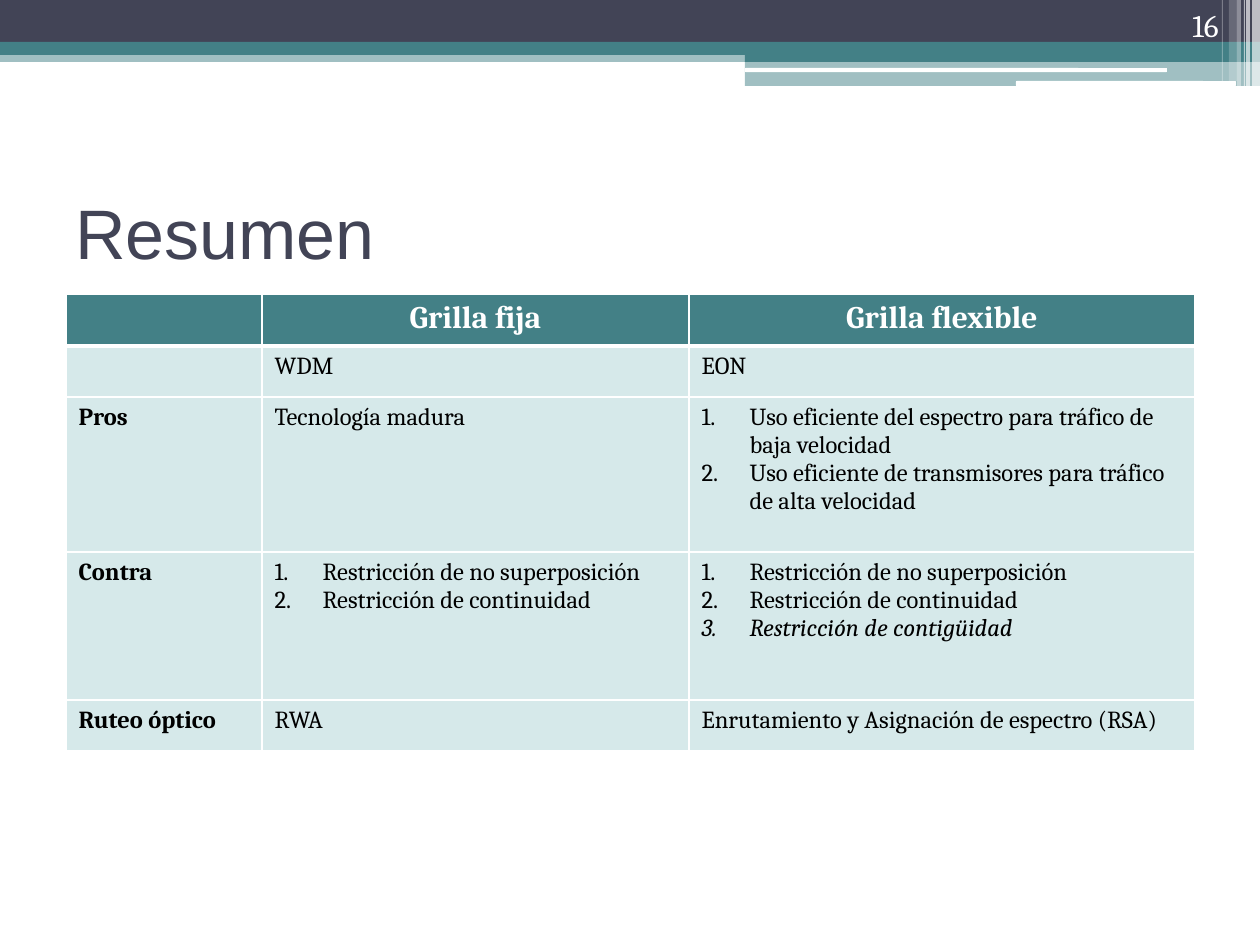
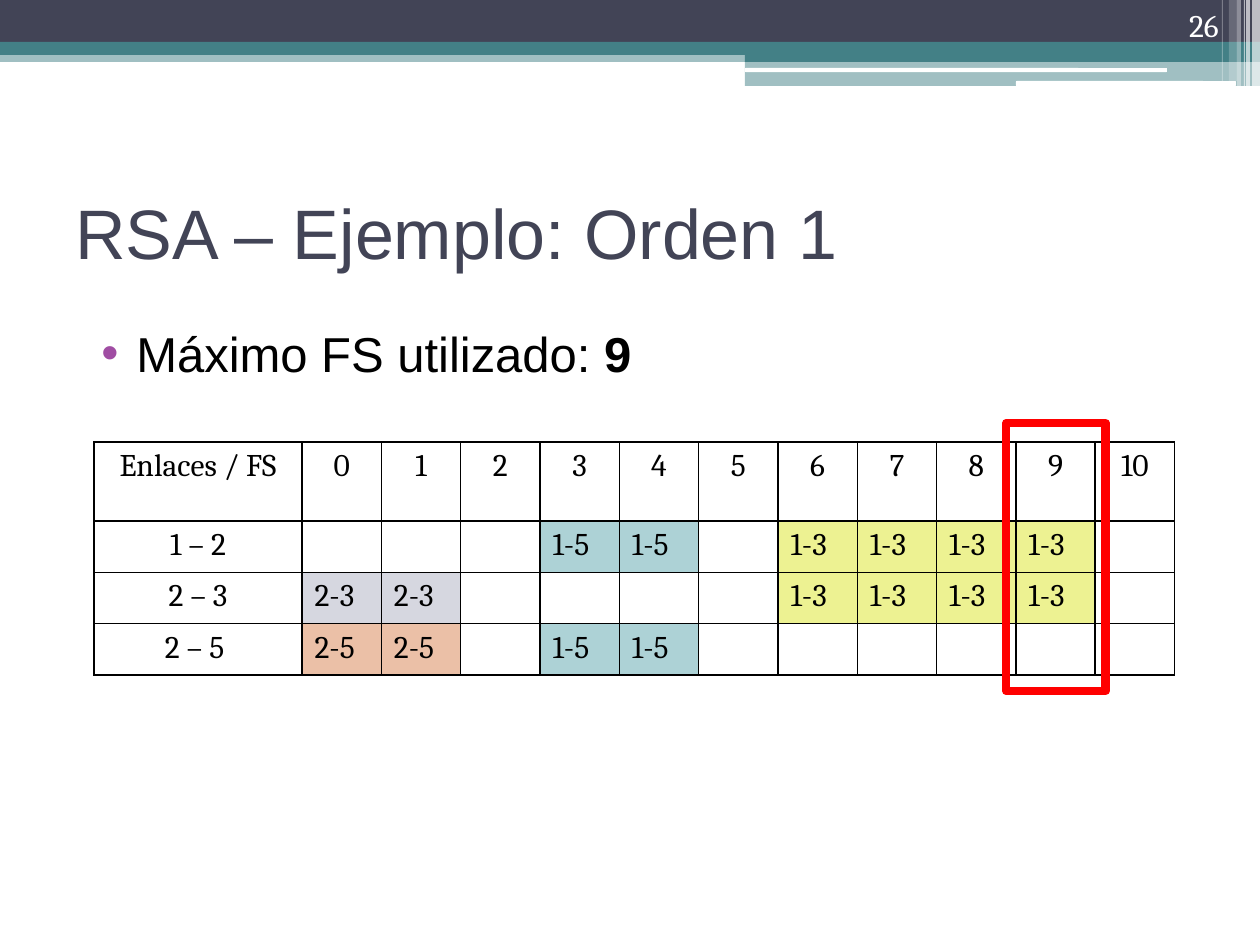
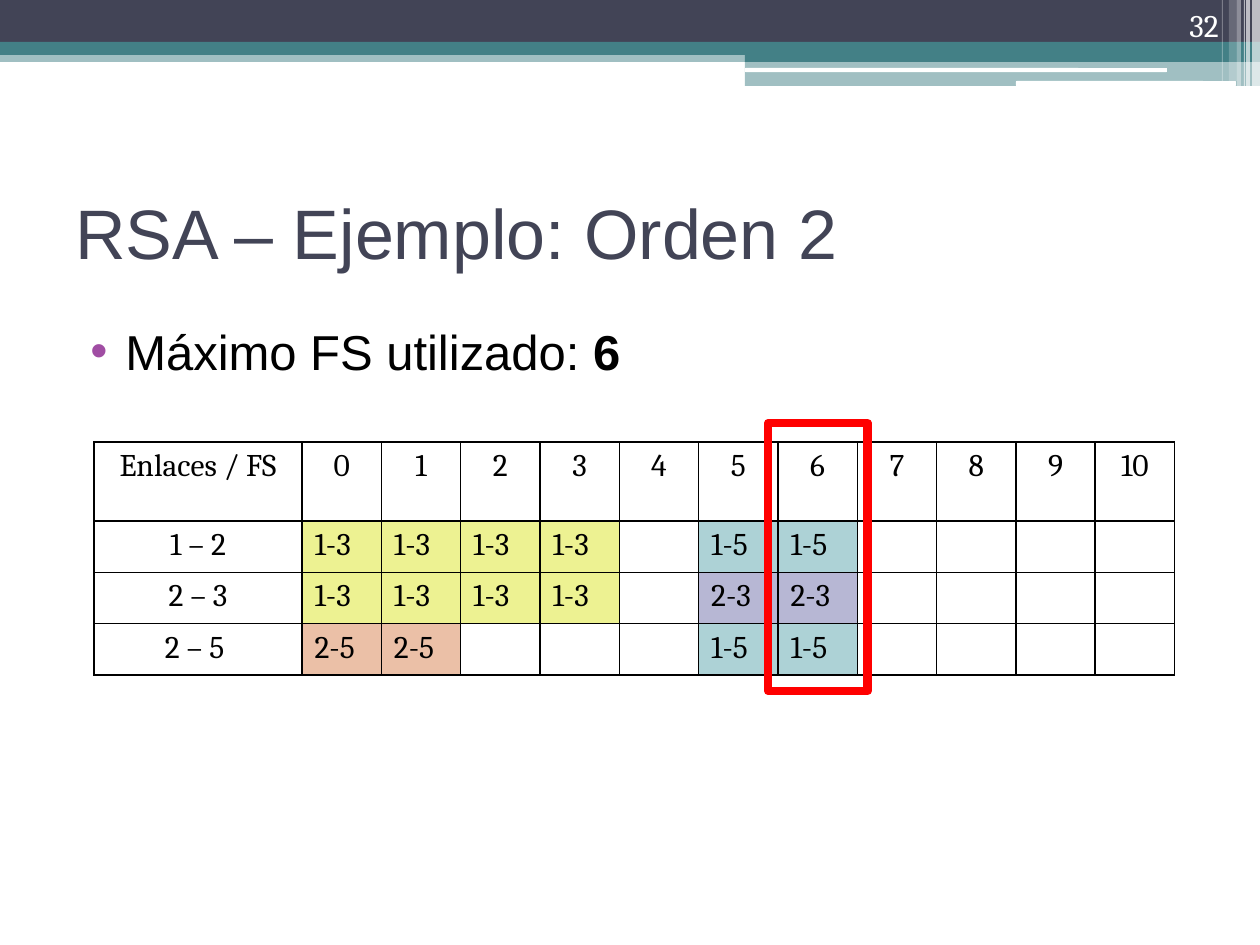
from lxml.etree import SubElement
from pptx import Presentation
from pptx.dml.color import RGBColor
from pptx.enum.shapes import MSO_SHAPE
from pptx.enum.text import MSO_ANCHOR, PP_ALIGN
from pptx.oxml.ns import qn
from pptx.util import Emu, Pt

COLORS = {
    "navy": "424456", "teal": "438086", "white": "FFFFFF", "black": "000000",
    "mist": "D6E9EA", "aqua": "ADD2D6", "lime": "EDF292", "peach": "EBC0A7",
    "pale": "D6D7E0", "lilac": "B7B7D4", "purple": "A04DA3", "red": "FF0000",
}
HEADING, BODY = "Arial", "Cambria"
PX = 914400 / 126

# left, top, width, height, colour, opacity in percent
BANDS = [
    (0, 50, 1260, 12, "teal", 50),
    (0, 0, 1260, 43, "navy", 100),
    (0, 42, 1260, 13, "teal", 100),
    (745, 49, 515, 13, "teal", 100),
    (745, 61, 515, 25, "teal", 50),
]
PILLS = [(745, 68, 422, 4, "white", 100), (1016, 81, 220, 5, "white", 100)]
STRIPES = [
    (1252, 0, 8, 86, "white", 65), (1246, 0, 4, 86, "white", 65),
    (1244, 0, 1, 86, "white", 60), (1237, 0, 4, 86, "white", 40),
    (1229, 0, 8, 81, "white", 20), (1222, 0, 1, 81, "white", 30),
]

SUMMARY_COLUMNS = [196, 427, 506]
SUMMARY_ROWS = [52, 51, 155, 148, 51]
SUMMARY = [
    ["", "Grilla fija", "Grilla flexible"],
    ["", "WDM", "EON"],
    ["Pros", "Tecnología madura",
     ["Uso eficiente del espectro para tráfico de baja velocidad",
      "Uso eficiente de transmisores para tráfico de alta velocidad"]],
    ["Contra",
     ["Restricción de no superposición", "Restricción de continuidad"],
     ["Restricción de no superposición", "Restricción de continuidad",
      [("Restricción de contigüidad", {"italic": True})]]],
    ["Ruteo óptico", "RWA", "Enrutamiento y Asignación de espectro (RSA)"],
]

SLOTS = 11
LINKS = ["1 – 2", "2 – 3", "2 – 5 "]
GRID = {"left": 94, "top": 442, "width": 1081, "height": 233, "label": 208, "header": 79}
SLOT_WIDTH = (GRID["width"] - GRID["label"]) / SLOTS
LINK_HEIGHT = (GRID["height"] - GRID["header"]) / len(LINKS)

# demands of each link: name, first slot, last slot, colour
EXAMPLES = [
    {"page": 26, "title": "RSA – Ejemplo: Orden 1", "highest": 9, "bullet_at": (74, 317),
     "demands": [
         [("1-5", 3, 4, "aqua"), ("1-3", 6, 9, "lime")],
         [("2-3", 0, 1, "pale"), ("1-3", 6, 9, "lime")],
         [("2-5", 0, 1, "peach"), ("1-5", 3, 4, "aqua")]]},
    {"page": 32, "title": "RSA – Ejemplo: Orden 2", "highest": 6, "bullet_at": (63, 315),
     "demands": [
         [("1-3", 0, 3, "lime"), ("1-5", 5, 6, "aqua")],
         [("1-3", 0, 3, "lime"), ("2-3", 5, 6, "lilac")],
         [("2-5", 0, 1, "peach"), ("1-5", 5, 6, "aqua")]]},
]


def px(*lengths):
    return [Emu(round(length * PX)) for length in lengths]


def rgb(name):
    return RGBColor.from_string(COLORS[name])


def add_bullet(para, kind, indent):
    """Give a paragraph a hanging number or a coloured dot."""
    properties = para._p.get_or_add_pPr()
    margin, hang = px(*indent)
    properties.set("marL", str(margin))
    properties.set("indent", str(-hang))
    if kind == "number":
        SubElement(properties, qn("a:buAutoNum"), type="arabicPeriod")
    else:
        color = SubElement(properties, qn("a:buClr"))
        SubElement(color, qn("a:srgbClr"), val=COLORS["purple"])
        SubElement(properties, qn("a:buFont"), typeface=HEADING)
        SubElement(properties, qn("a:buChar"), char="•")


def write(frame, paragraphs, size=18, font=BODY, color="black", bold=False,
          align=PP_ALIGN.LEFT, bullet=None, indent=(48, 48)):
    """Fill a frame; a paragraph is a string or a list of (text, format) spans."""
    for index, content in enumerate(paragraphs):
        para = frame.add_paragraph() if index else frame.paragraphs[0]
        para.alignment = align
        if bullet:
            add_bullet(para, bullet, indent)
        spans = [(content, {})] if isinstance(content, str) else content
        for text, changes in spans:
            span = para.add_run()
            span.text = text
            span.font.name = font
            span.font.size = Pt(size)
            span.font.color.rgb = rgb(color)
            span.font.bold = changes.get("bold", bold)
            span.font.italic = changes.get("italic", False)


def add_text(page, place, paragraphs, anchor=MSO_ANCHOR.TOP, **style):
    frame = page.shapes.add_textbox(*px(*place)).text_frame
    frame.word_wrap = True
    frame.vertical_anchor = anchor
    write(frame, paragraphs, **style)


def add_band(page, kind, left, top, width, height, color, opacity):
    band = page.shapes.add_shape(kind, *px(left, top, width, height))
    band.shadow.inherit = False
    band.line.fill.background()
    band.fill.solid()
    band.fill.fore_color.rgb = rgb(color)
    if opacity < 100:
        value = band._element.spPr.find(".//" + qn("a:srgbClr"))
        SubElement(value, qn("a:alpha"), val=str(opacity * 1000))


def add_page(deck, title, number):
    page = deck.slides.add_slide(deck.slide_layouts[6])
    for kind, bands in ((MSO_SHAPE.RECTANGLE, BANDS),
                        (MSO_SHAPE.ROUNDED_RECTANGLE, PILLS),
                        (MSO_SHAPE.RECTANGLE, STRIPES)):
        for band in bands:
            add_band(page, kind, *band)
    add_text(page, (63, 158, 1134, 147), [title], anchor=MSO_ANCHOR.MIDDLE,
             size=40, font=HEADING, color="navy")
    add_text(page, (1126, 0, 105, 50), [str(number)], anchor=MSO_ANCHOR.BOTTOM,
             color="white", align=PP_ALIGN.RIGHT)
    return page


def add_grid(page, left, top, columns, rows):
    """Add a plain table with the given column widths and row heights."""
    table = page.shapes.add_table(len(rows), len(columns),
                                  *px(left, top, sum(columns), sum(rows))).table
    table.first_row = table.horz_banding = False
    for column, width in zip(table.columns, px(*columns)):
        column.width = width
    for row, height in zip(table.rows, px(*rows)):
        row.height = height
    return table


def format_cell(cell, border, fill=None, top=1, bottom=1):
    properties = cell._tc.get_or_add_tcPr()
    for side, width in (("L", 1), ("R", 1), ("T", top), ("B", bottom)):
        line = SubElement(properties, qn("a:ln" + side), w=str(Pt(width)))
        SubElement(SubElement(line, qn("a:solidFill")), qn("a:srgbClr"), val=COLORS[border])
    if fill:
        cell.fill.solid()
        cell.fill.fore_color.rgb = rgb(fill)
    else:
        cell.fill.background()


def add_summary(deck):
    page = add_page(deck, "Resumen", 16)
    table = add_grid(page, 66, 294, SUMMARY_COLUMNS, SUMMARY_ROWS)
    header = {"color": "white", "bold": True, "align": PP_ALIGN.CENTER}
    for row, contents in enumerate(SUMMARY):
        for column, content in enumerate(contents):
            cell = table.cell(row, column)
            format_cell(cell, "white", "mist" if row else "teal",
                        top=3 if row == 1 else 1, bottom=1 if row else 3)
            style = {"size": 14, "bold": column == 0} if row else header
            if isinstance(content, list):
                write(cell.text_frame, content, bullet="number", **style)
            elif content:
                write(cell.text_frame, [content], **style)


def add_example(deck, example):
    page = add_page(deck, example["title"], example["page"])
    highest = example["highest"]
    add_text(page, (*example["bullet_at"], 1134, 596),
             [[("Máximo FS utilizado: ", {}), (str(highest), {"bold": True})]],
             size=28, font=HEADING, bullet="dot", indent=(50, 35))

    table = add_grid(page, GRID["left"], GRID["top"],
                     [GRID["label"]] + [SLOT_WIDTH] * SLOTS,
                     [GRID["header"]] + [LINK_HEIGHT] * len(LINKS))
    labels = {(0, slot + 1): str(slot) for slot in range(SLOTS)}
    labels[0, 0] = "Enlaces / FS"
    labels.update({(row, 0): link for row, link in enumerate(LINKS, 1)})
    used = {(row, slot + 1): (name, color)
            for row, demands in enumerate(example["demands"], 1)
            for name, first, last, color in demands
            for slot in range(first, last + 1)}
    for row in range(len(LINKS) + 1):
        for column in range(SLOTS + 1):
            cell = table.cell(row, column)
            name, fill = used.get((row, column), (None, None))
            format_cell(cell, "black", fill)
            if name:
                write(cell.text_frame, [name])
            elif (row, column) in labels:
                write(cell.text_frame, [labels[row, column]], align=PP_ALIGN.CENTER)

    slot_left = GRID["left"] + GRID["label"] + highest * SLOT_WIDTH
    marker = page.shapes.add_shape(MSO_SHAPE.RECTANGLE,
                                   *px(slot_left - 10, 423, SLOT_WIDTH + 20, 268))
    marker.shadow.inherit = False
    marker.fill.background()
    marker.line.color.rgb = rgb("red")
    marker.line.width = Pt(4.75)


def main():
    deck = Presentation()
    deck.slide_width, deck.slide_height = px(1260, 945)
    add_summary(deck)
    for example in EXAMPLES:
        add_example(deck, example)
    deck.save("out.pptx")


if __name__ == "__main__":
    main()
